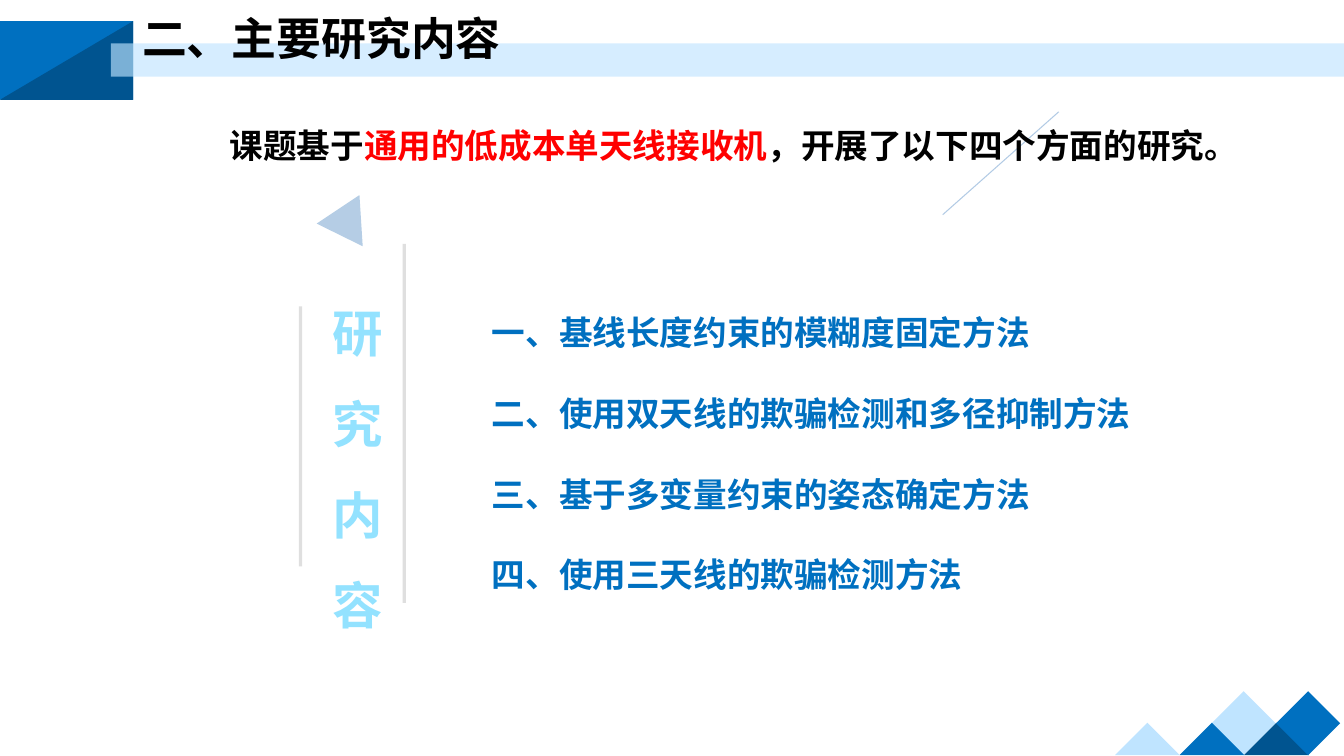
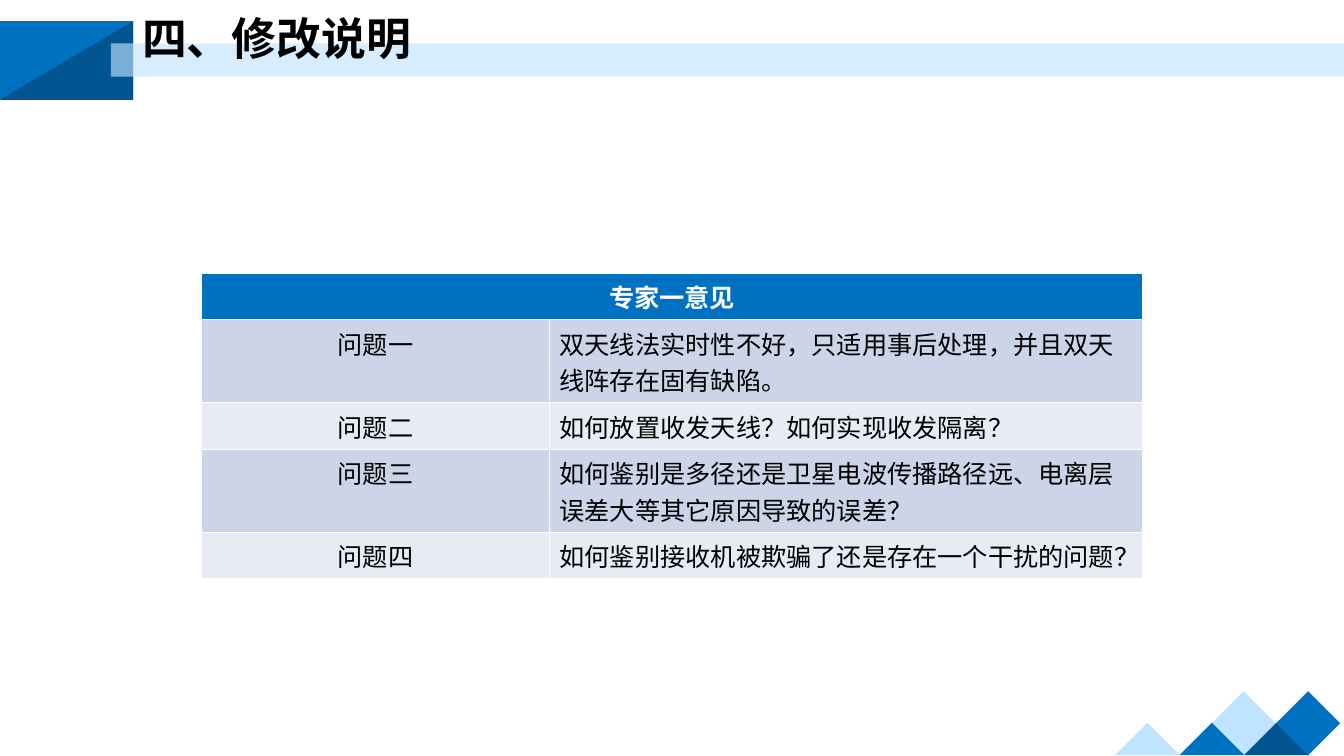
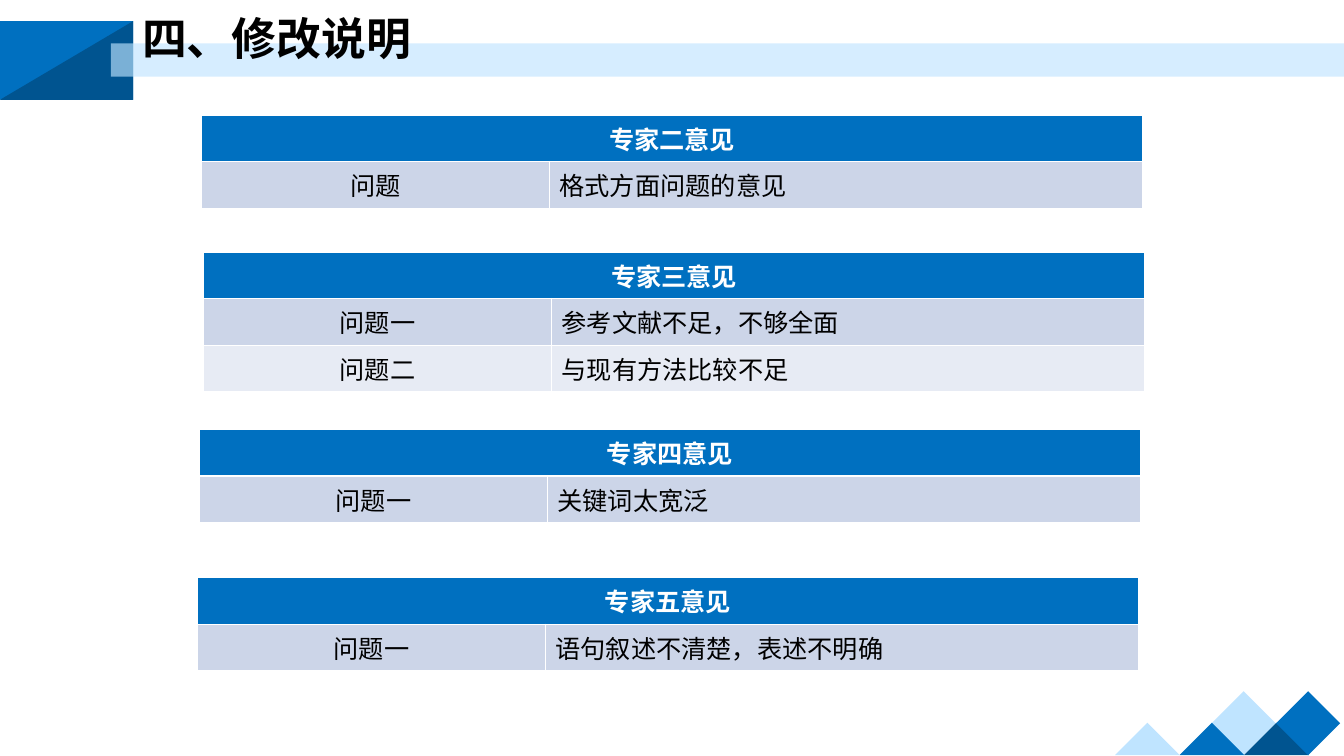
from lxml import etree
from pptx import Presentation
from pptx import util as u
from pptx.dml.color import RGBColor
from pptx.enum import shapes, text
from pptx.oxml.ns import qn

PX = 9144  # one px is a hundredth of an inch
FONT = "Noto Sans CJK SC"
BLUE = RGBColor(0x00, 0x70, 0xC0)
NAVY = RGBColor(0x00, 0x54, 0x90)
PALE_BLUE = RGBColor(0xBF, 0xE4, 0xFF)
STEEL = RGBColor(0xB5, 0xCD, 0xE5)
STEEL_LINE = RGBColor(0xB2, 0xCB, 0xE5)
GREY = RGBColor(0x5F, 0x5F, 0x5F)
SKY = RGBColor(0x93, 0xE2, 0xFF)
CYAN = RGBColor(0x00, 0xB0, 0xF0)
RED = RGBColor(0xFF, 0x00, 0x00)
BLACK = RGBColor(0x00, 0x00, 0x00)
WHITE = RGBColor(0xFF, 0xFF, 0xFF)
ROW_ODD = RGBColor(0xCC, 0xD5, 0xE8)
ROW_EVEN = RGBColor(0xE7, 0xEB, 0xF4)


def px(*lengths):
    return [round(length * PX) for length in lengths]


def format_text(frame, size, color, bold=True, spacing=None):
    """Style every run, for Latin and East Asian letters alike."""
    for paragraph in frame.paragraphs:
        paragraph.line_spacing = spacing
        for run in paragraph.runs:
            run.font.size = u.Pt(size)
            run.font.bold = bold
            run.font.color.rgb = color
            run.font.name = FONT
            properties = run.font._element
            etree.SubElement(properties, qn("a:ea")).set("typeface", FONT)


presentation = Presentation()
presentation.slide_width, presentation.slide_height = px(1333, 750)
layout = presentation.slide_layouts[5]
for placeholder in list(layout.placeholders):
    if placeholder.placeholder_format.type != shapes.PP_PLACEHOLDER.TITLE:
        placeholder.element.getparent().remove(placeholder.element)

slides = []
for title_text, title_width in (("二、主要研究内容", 614), ("四、修改说明", 445), ("四、修改说明", 445)):
    slide = presentation.slides.add_slide(layout)
    title = slide.shapes.title
    title.left, title.top, title.width, title.height = px(131, 13, title_width, 55)
    title.text_frame.text = title_text
    title.text_frame.vertical_anchor = text.MSO_ANCHOR.MIDDLE
    title.text_frame.paragraphs[0].alignment = text.PP_ALIGN.LEFT
    format_text(title.text_frame, 32, BLACK, spacing=0.9)
    slides.append(slide)
content_slide, expert_one_slide, experts_slide = slides

# Shared decoration: drawn once, then moved to the layout
RECTANGLE = shapes.MSO_SHAPE.RECTANGLE
TRIANGLE = shapes.MSO_SHAPE.ISOSCELES_TRIANGLE
decorations = [
    (RECTANGLE, (0, 21, 132, 78), 0, BLUE),
    (shapes.MSO_SHAPE.RIGHT_TRIANGLE, (0, 21, 132, 78), 0, NAVY),
    (RECTANGLE, (110, 43, 1224, 33), 0, PALE_BLUE),
    (RECTANGLE, (1211, 695, 45, 45), 315, PALE_BLUE),
    (TRIANGLE, (1234, 717, 64, 32), 0, NAVY),
    (RECTANGLE, (1275, 695, 45, 45), 315, BLUE),
    (TRIANGLE, (1170, 717, 64, 32), 0, BLUE),
    (TRIANGLE, (1106, 717, 64, 32), 0, PALE_BLUE),
]
for index, (kind, box, rotation, color) in enumerate(decorations):
    shape = content_slide.shapes.add_shape(kind, *px(*box))
    shape.rotation = rotation
    shape.shadow.inherit = False
    shape.fill.solid()
    shape.fill.fore_color.rgb = color
    shape.line.fill.background()
    if kind == shapes.MSO_SHAPE.RIGHT_TRIANGLE:
        shape.element.spPr.find(qn("a:xfrm")).set("flipH", "1")
    if index == 2:
        band_color = shape.element.xpath(".//a:srgbClr")[0]
        etree.SubElement(band_color, qn("a:alpha")).set("val", "64000")
    layout.shapes.element.append(shape.element)

# Research content
for ends, color, width, opacity in (
    ((298, 304, 298, 562), GREY, 2.25, 20),
    ((401, 242, 401, 598), GREY, 2.25, 20),
    ((1050, 111, 935, 213), STEEL_LINE, 0.75, 100),
):
    connector = content_slide.shapes.add_connector(shapes.MSO_CONNECTOR.STRAIGHT, *px(*ends))
    connector.line.color.rgb = color
    connector.line.width = u.Pt(width)
    if opacity < 100:
        line_color = connector.element.xpath(".//a:srgbClr")[0]
        etree.SubElement(line_color, qn("a:alpha")).set("val", str(opacity * 1000))
    etree.SubElement(connector.element.spPr, qn("a:effectLst"))

pointer = content_slide.shapes.add_shape(TRIANGLE, *px(322, 204, 51, 44))
pointer.rotation = 146.3
pointer.shadow.inherit = False
pointer.fill.solid()
pointer.fill.fore_color.rgb = STEEL
pointer.line.fill.background()

topics = [
    "一、基线长度约束的模糊度固定方法",
    "二、使用双天线的欺骗检测和多径抑制方法",
    "三、基于多变量约束的姿态确定方法",
    "四、使用三天线的欺骗检测方法",
]
frames = []
for box, lines, size, color, spacing in (
    ((320, 265, 76, 373), "研究内容", 36, SKY, 1.5),
    ((218, 99, 1060, 71), [""], 24, BLACK, 1.5),
    ((478, 265, 772, 333), topics, 24, BLUE, 2.0),
):
    frame = content_slide.shapes.add_textbox(*px(*box)).text_frame
    frame.word_wrap = True
    frame.auto_size = text.MSO_AUTO_SIZE.SHAPE_TO_FIT_TEXT
    frame.text = "\n".join(lines)
    format_text(frame, size, color, spacing=spacing)
    frames.append(frame)
heading_frame, intro_frame, topics_frame = frames

for paragraph in heading_frame.paragraphs:
    outline = etree.Element(qn("a:ln"), w=str(u.Pt(1.75)))
    outline_fill = etree.SubElement(outline, qn("a:solidFill"))
    etree.SubElement(outline_fill, qn("a:srgbClr")).set("val", str(CYAN))
    paragraph.runs[0].font._element.insert(0, outline)

intro = intro_frame.paragraphs[0]
for part in ("课题基于", "通用的低成本单天线接收机", "，开展了以下四个方面的研究。"):
    intro.add_run().text = part
format_text(intro_frame, 24, BLACK, spacing=1.5)
intro.runs[1].font.color.rgb = RED

# Expert opinions
opinions = [
    (expert_one_slide, 200, 271, "专家一意见", [
        ("问题一", "双天线法实时性不好，只适用事后处理，并且双天线阵存在固有缺陷。"),
        ("问题二", "如何放置收发天线？如何实现收发隔离？"),
        ("问题三", "如何鉴别是多径还是卫星电波传播路径远、电离层误差大等其它原因导致的误差？"),
        ("问题四", "如何鉴别接收机被欺骗了还是存在一个干扰的问题？"),
    ]),
    (experts_slide, 200, 114, "专家二意见", [("问题", "格式方面问题的意见")]),
    (experts_slide, 202, 250, "专家三意见", [
        ("问题一", "参考文献不足，不够全面"),
        ("问题二", "与现有方法比较不足"),
    ]),
    (experts_slide, 198, 426, "专家四意见", [("问题一", "关键词太宽泛")]),
    (experts_slide, 196, 573, "专家五意见", [("问题一", "语句叙述不清楚，表述不明确")]),
]
for slide, left, top, expert, questions in opinions:
    rows = [(expert, ""), *questions]
    table = slide.shapes.add_table(len(rows), 2, *px(left, top, 933, 42 * len(rows))).table
    table.columns[0].width, table.columns[1].width = px(345, 588)
    table.cell(0, 0).merge(table.cell(0, 1))
    for row_index, row in enumerate(rows):
        is_header = row_index == 0
        for column_index, words in enumerate(row):
            cell = table.cell(row_index, column_index)
            cell.text_frame.text = words
            cell.fill.solid()
            cell.fill.fore_color.rgb = BLUE if is_header else (ROW_EVEN, ROW_ODD)[row_index % 2]
            format_text(cell.text_frame, 18, WHITE if is_header else BLACK, bold=is_header)
            if column_index == 0:
                cell.text_frame.paragraphs[0].alignment = text.PP_ALIGN.CENTER

presentation.save("out.pptx")
